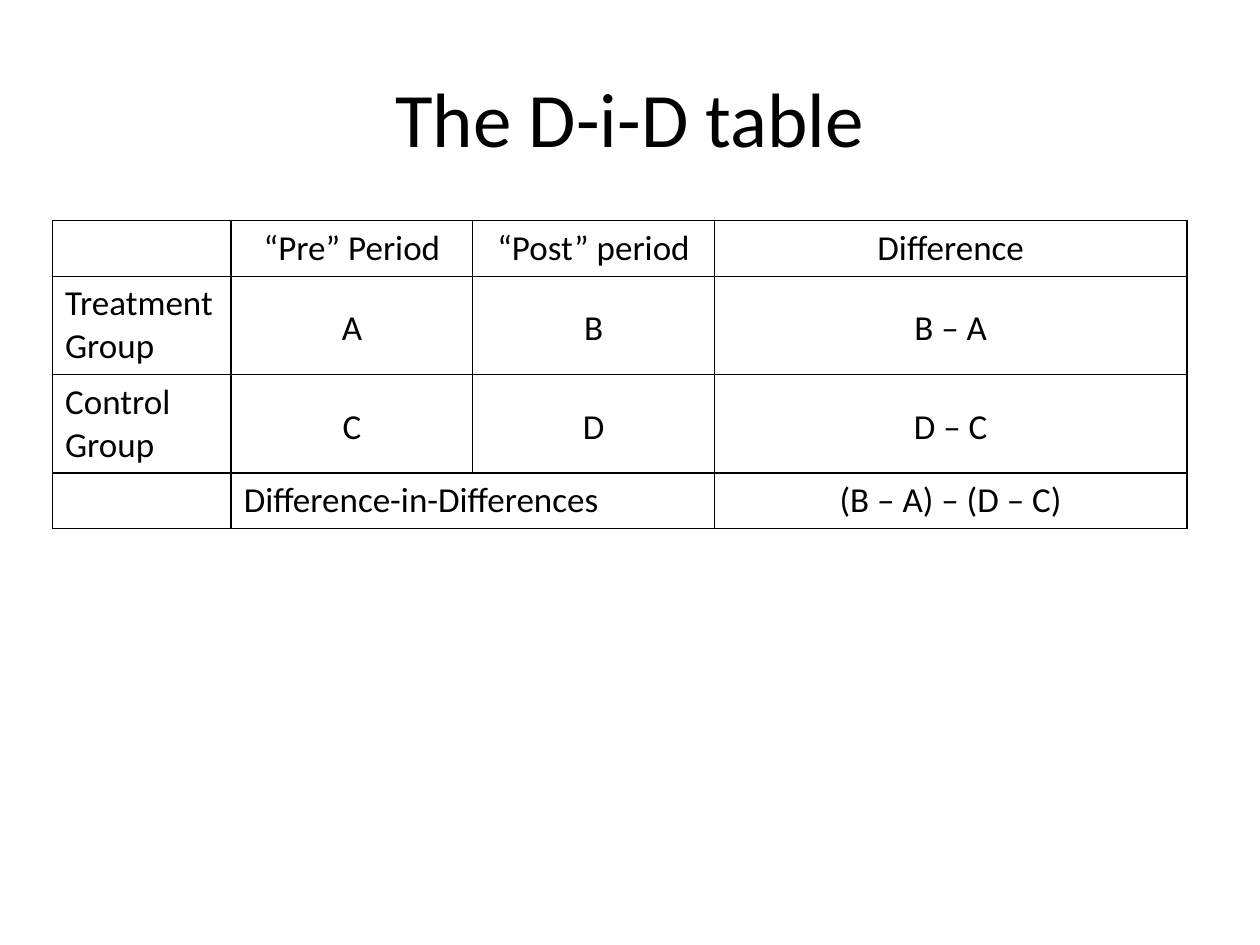
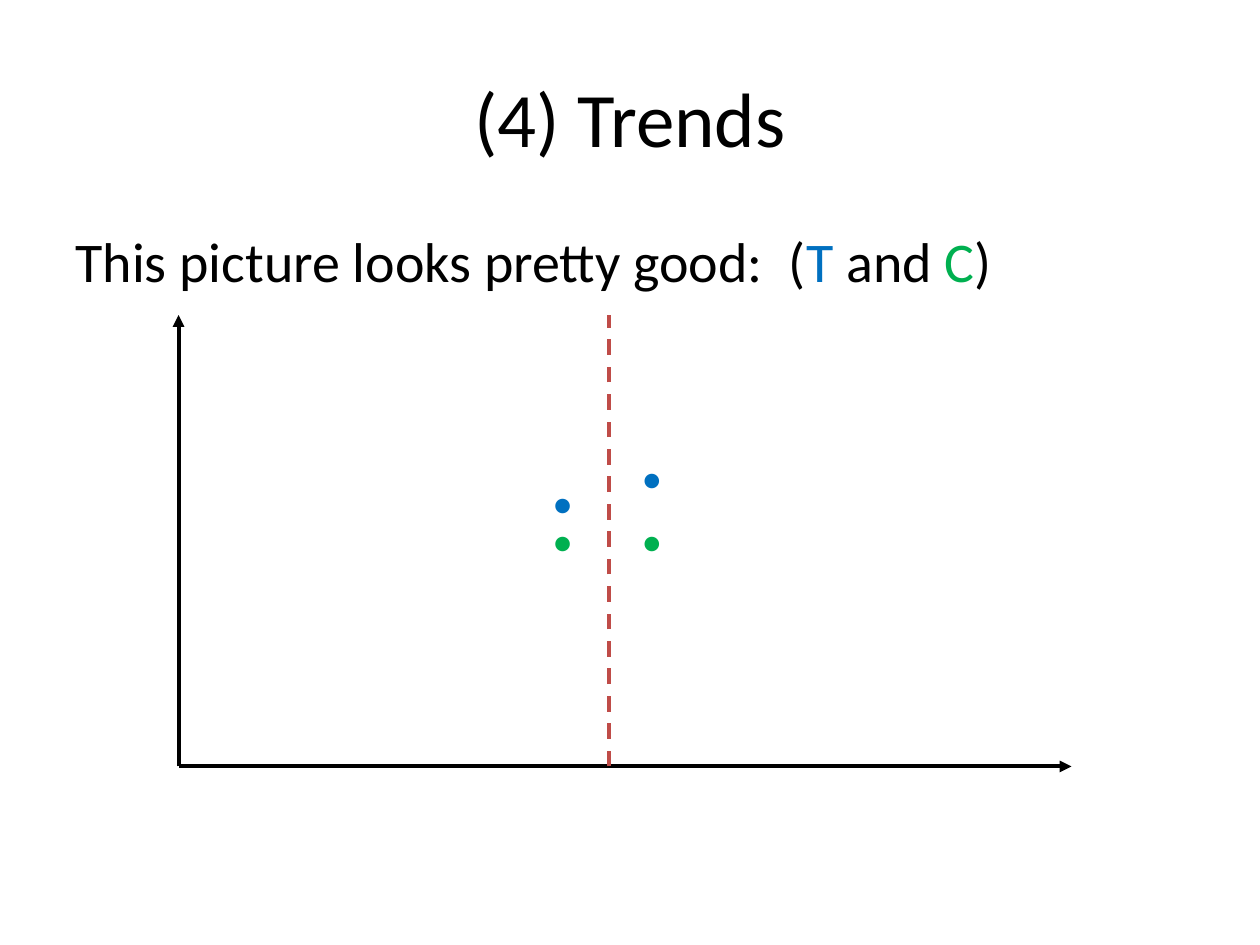
from lxml.etree import SubElement
from pptx import Presentation
from pptx.dml.color import RGBColor
from pptx.enum.dml import MSO_LINE_DASH_STYLE as Dash
from pptx.enum.shapes import MSO_CONNECTOR as Connector
from pptx.enum.text import MSO_ANCHOR as Anchor, PP_ALIGN as Align
from pptx.oxml import parse_xml
from pptx.oxml.ns import nsdecls, qn
from pptx.util import Cm, Pt

# Shared style
FONT = "Calibri"
BLACK, BLUE, GREEN, RED = "000000", "0070C0", "00B050", "BF4C48"
TITLE_BOX = (1.27, 0.76, 22.86, 3.18)


def colour(hex_string):
    return RGBColor.from_string(hex_string)


def write(frame, paragraphs, size, align=Align.LEFT, spacing=None):
    """Fill a frame; each paragraph is a list of (text, colour) spans."""
    for index, spans in enumerate(paragraphs):
        para = frame.add_paragraph() if index else frame.paragraphs[0]
        para.alignment = align
        if spacing:
            para.line_spacing = spacing
        for text, hex_string in spans:
            span = para.add_run()
            span.text = text
            span.font.name = FONT
            span.font.size = Pt(size)
            span.font.color.rgb = colour(hex_string)


def add_titled_slide(deck, title):
    page = deck.slides.add_slide(deck.slide_layouts[5])
    box = page.shapes.title
    box.left, box.top, box.width, box.height = map(Cm, TITLE_BOX)
    box.text_frame.vertical_anchor = Anchor.MIDDLE
    write(box.text_frame, [[(title, BLACK)]], 44, Align.CENTER)
    return page


def add_text(page, left, top, width, height, paragraphs, size):
    box = page.shapes.add_textbox(Cm(left), Cm(top), Cm(width), Cm(height))
    box.text_frame.word_wrap = True
    write(box.text_frame, paragraphs, size)


def add_line(page, start, end, hex_string=BLACK, arrow=False, dash=None):
    line = page.shapes.add_connector(Connector.STRAIGHT, *map(Cm, start + end))
    line.line.color.rgb = colour(hex_string)
    line.line.width = Pt(2.25)
    if dash:
        line.line.dash_style = dash
    properties = line._element.spPr
    if arrow:
        SubElement(properties.find(qn("a:ln")), qn("a:tailEnd"), type="triangle")
    SubElement(properties, qn("a:effectLst"))


def style_cell(cell):
    """Clear the fill and draw thin black borders."""
    cell.fill.background()
    properties = cell._tc.get_or_add_tcPr()
    for index, side in enumerate(("lnL", "lnR", "lnT", "lnB")):
        properties.insert(index, parse_xml(
            f'<a:{side} {nsdecls("a")} w="{Pt(1)}"><a:solidFill>'
            f'<a:srgbClr val="{BLACK}"/></a:solidFill></a:{side}>'))


def add_difference_table(page, left, top):
    columns = (3.6, 4.87, 4.87, 9.53)
    heights = (1.12, 1.98, 1.98, 1.12)
    rows = (
        ("", "“Pre” Period", "“Post” period", "Difference"),
        ("Treatment\nGroup", "A", "B", "B – A"),
        ("Control\nGroup", "C", "D", "D – C"),
        ("", "Difference-in-Differences", "", "(B – A) – (D – C)"),
    )
    table = page.shapes.add_table(
        len(rows), len(columns), Cm(left), Cm(top),
        Cm(sum(columns)), Cm(sum(heights))).table
    table.first_row = table.horz_banding = False
    for column, width in zip(table.columns, columns):
        column.width = Cm(width)
    for row, height in zip(table.rows, heights):
        row.height = Cm(height)

    for r, texts in enumerate(rows):
        for c, text in enumerate(texts):
            cell = table.cell(r, c)
            style_cell(cell)
            is_value = c > 0 and r in (1, 2)
            if is_value:
                cell.vertical_anchor = Anchor.MIDDLE
                cell.margin_left = cell.margin_right = Cm(0.18)
                cell.margin_top = cell.margin_bottom = 0
            if text:
                is_left = c == 0 or (r, c) == (3, 1)
                write(cell.text_frame, [[(part, BLACK)] for part in text.split("\n")],
                      20, Align.LEFT if is_left else Align.CENTER,
                      1.15 if is_value else None)
    table.cell(3, 1).merge(table.cell(3, 2))


def add_trend_plot(page, left, top, width, height):
    bottom, change = top + height, left + 8.67
    # Axes and moment of change
    add_line(page, (left, bottom), (left, top), arrow=True)
    add_line(page, (left, bottom), (left + width, bottom), arrow=True)
    add_line(page, (change, bottom), (change, top), RED, dash=Dash.DASH)
    # Group dots before and after the change
    dots = ((-1.37, 3.28, (BLUE, GREEN)), (0.43, 4.04, (GREEN,)), (0.43, 2.77, (BLUE,)))
    for x, y, colours in dots:
        add_text(page, change + x, top + y, 1, 0.2 + 0.8 * len(colours),
                 [[("●", hex_string)] for hex_string in colours], 18)


def build_table_slide(deck):
    page = add_titled_slide(deck, "The D-i-D table")
    add_difference_table(page, 1.06, 4.45)


def build_trends_slide(deck):
    page = add_titled_slide(deck, "(4) Trends")
    sentence = [("This picture looks pretty good:  (", BLACK), ("T", BLUE),
                (" and ", BLACK), ("C", GREEN), (")", BLACK)]
    add_text(page, 1.27, 4.45, 22.86, 1.7, [sentence], 32)
    add_trend_plot(page, 3.6, 6.35, 18, 9.1)


def main():
    deck = Presentation()
    deck.slide_width, deck.slide_height = Cm(25.4), Cm(19.05)
    build_table_slide(deck)
    build_trends_slide(deck)
    deck.save("out.pptx")


if __name__ == "__main__":
    main()
